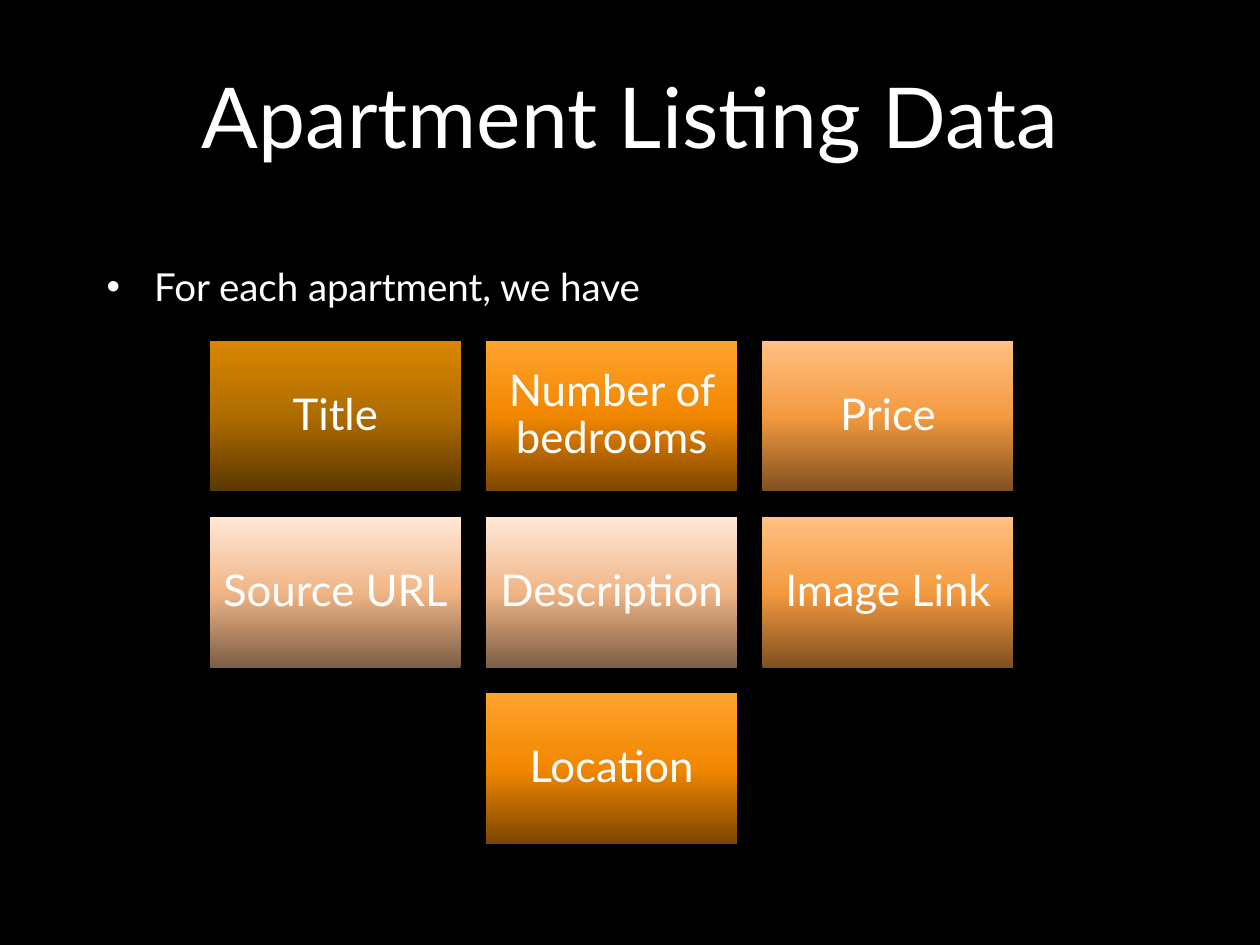
from dataclasses import dataclass

from lxml.etree import SubElement
from pptx import Presentation
from pptx.dml.color import RGBColor
from pptx.enum.shapes import MSO_SHAPE
from pptx.enum.text import MSO_ANCHOR as Anchor, PP_ALIGN as Align
from pptx.oxml.ns import qn
from pptx.util import Cm, Pt


@dataclass(frozen=True)
class Theme:
    font: str = "Lato"
    background: str = "000000"
    text: str = "FFFFFF"
    title_size: int = 48
    body_size: int = 22
    card_size: int = 25
    # Gradients run from the bottom edge to the top edge
    brown: tuple[str, ...] = ("5A3800", "AE6C00", "DA8700")
    orange: tuple[str, ...] = ("7D4600", "F18700", "FFA42F")
    apricot: tuple[str, ...] = ("7F5021", "F49A3F", "FFC183")
    cream: tuple[str, ...] = ("7D5E46", "F0B586", "FFE9D7")


@dataclass(frozen=True)
class Card:
    label: str
    gradient: tuple[str, ...]


THEME = Theme()
ROWS = [
    [Card("Title", THEME.brown), Card("Number of bedrooms", THEME.orange),
     Card("Price", THEME.apricot)],
    [Card("Source URL", THEME.cream), Card("Description", THEME.cream),
     Card("Image Link", THEME.apricot)],
    [Card("Location", THEME.orange)],
]
COLUMNS = 3
GRID_LEFT, GRID_TOP = 4.23, 6.87
CARD_W, CARD_H, GAP = 5.06, 3.04, 0.51


def add_text(p, text: str, size: int) -> None:
    r = p.add_run()
    r.text = text
    r.font.name = THEME.font
    r.font.size = Pt(size)
    r.font.color.rgb = RGBColor.from_string(THEME.text)


def fill_gradient(sp, colors: tuple[str, ...]) -> None:
    sp.fill.gradient()
    sp.fill.gradient_angle = 90
    stops = sp._element.spPr.find(qn("a:gradFill")).find(qn("a:gsLst"))
    for stop in list(stops):
        stops.remove(stop)
    for i, color in enumerate(colors):
        position = 100000 * i // (len(colors) - 1)
        stop = SubElement(stops, qn("a:gs"), pos=str(position))
        SubElement(stop, qn("a:srgbClr"), val=color)


def add_card(s, card: Card, left: float, top: float) -> None:
    sp = s.shapes.add_shape(MSO_SHAPE.RECTANGLE, Cm(left), Cm(top),
                            Cm(CARD_W), Cm(CARD_H))
    sp.shadow.inherit = False
    sp.line.fill.background()
    fill_gradient(sp, card.gradient)
    tf = sp.text_frame
    tf.word_wrap = True
    tf.vertical_anchor = Anchor.MIDDLE
    tf.margin_left = tf.margin_right = Cm(0.25)
    tf.margin_top = tf.margin_bottom = Cm(0.25)
    p = tf.paragraphs[0]
    p.alignment = Align.CENTER
    p.line_spacing = 0.9
    add_text(p, card.label, THEME.card_size)


def add_bullet(p, indent: float) -> None:
    pPr = p._p.get_or_add_pPr()
    pPr.set("marL", str(Cm(indent)))
    pPr.set("indent", str(-Cm(indent)))
    SubElement(pPr, qn("a:buFont"), typeface="Arial")
    SubElement(pPr, qn("a:buChar"), char="•")


prs = Presentation()
prs.slide_width, prs.slide_height = Cm(25.4), Cm(19.05)
s = prs.slides.add_slide(prs.slide_layouts[5])
s.background.fill.solid()
s.background.fill.fore_color.rgb = RGBColor.from_string(THEME.background)

# Title
title = s.shapes.title
title.left, title.top = Cm(1.9), Cm(0.33)
title.width, title.height = Cm(21.6), Cm(3.96)
tf = title.text_frame
tf.vertical_anchor = Anchor.MIDDLE
tf.paragraphs[0].alignment = Align.CENTER
add_text(tf.paragraphs[0], "Apartment Listing Data", THEME.title_size)

# Lead-in bullet
body = s.shapes.add_textbox(Cm(1.9), Cm(5.18), Cm(21.6), Cm(11.84))
tf = body.text_frame
tf.word_wrap = True
p = tf.paragraphs[0]
p.space_before = Pt(20)
add_bullet(p, 0.96)
add_text(p, "For each apartment, we have", THEME.body_size)

# Card grid, with a short row centred
for row, cards in enumerate(ROWS):
    shift = (COLUMNS - len(cards)) / 2
    for column, card in enumerate(cards):
        add_card(s, card, GRID_LEFT + (column + shift) * (CARD_W + GAP),
                 GRID_TOP + row * (CARD_H + GAP))

prs.save("out.pptx")
